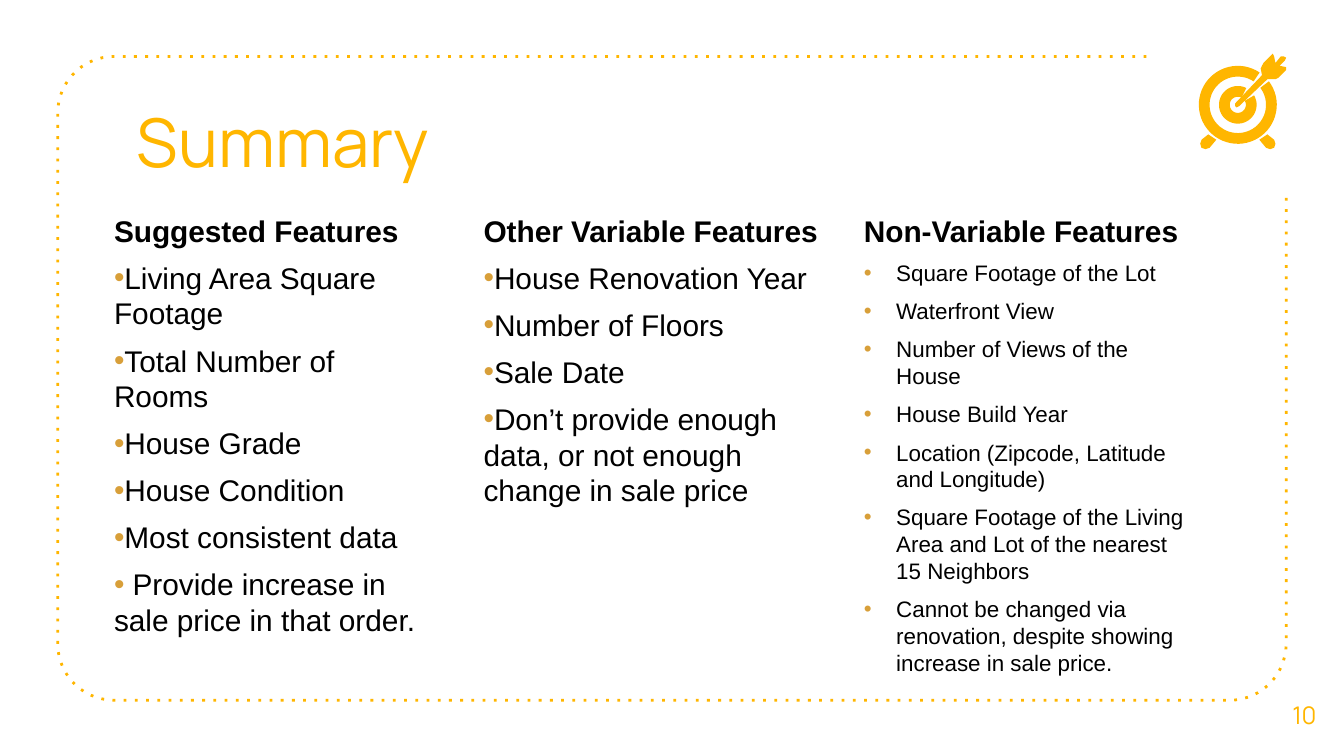
from dataclasses import dataclass
from math import cos, radians, sin

from lxml.etree import SubElement
from pptx import Presentation
from pptx.dml.color import RGBColor
from pptx.enum.dml import MSO_LINE
from pptx.enum.text import MSO_ANCHOR, PP_ALIGN
from pptx.oxml.ns import qn
from pptx.util import Inches, Pt

AMBER = RGBColor(0xFF, 0xB6, 0x00)
BULLET = RGBColor(0xD8, 0x9F, 0x39)
BLACK = RGBColor(0x00, 0x00, 0x00)

Point = tuple[float, float]


@dataclass
class Column:
    left: float
    width: float
    height: float
    heading: str
    items: list[str]
    size: int = 16
    indent: float = 0


@dataclass
class Ring:
    outer: float
    inner: float
    start: float
    end: float


COLUMNS = [
    Column(0.75, 2.55, 3.5, "Suggested Features", [
        "Living Area Square Footage",
        "Total Number of Rooms",
        "House Grade",
        "House Condition",
        "Most consistent data",
        " Provide increase in sale price in that order.",
    ]),
    Column(3.5, 2.75, 3.24, "Other Variable Features", [
        "House Renovation Year",
        "Number of Floors",
        "Sale Date",
        "Don’t provide enough data, or not enough change in sale price",
    ]),
    Column(6.33, 2.63, 3.58, "Non-Variable Features", [
        "Square Footage of the Lot",
        "Waterfront View",
        "Number of Views of the House",
        "House Build Year",
        "Location (Zipcode, Latitude and Longitude)",
        "Square Footage of the Living Area and Lot of the nearest 15 Neighbors",
        "Cannot be changed via renovation, despite showing increase in sale price.",
    ], 12, 0.24),
]

TARGET = (9.21, 0.78)
RINGS = [Ring(0.29, 0.21, -37, 304), Ring(0.14, 0.06, -30, 297)]
FOOT = [(8.99, 1), (8.94, 1.04), (8.93, 1.07), (8.94, 1.1), (8.97, 1.11),
        (9, 1.1), (9.05, 1.04), (9.02, 1.02)]
ARROW = [(9.47, 0.4), (9.46, 0.41), (9.4, 0.47), (9.39, 0.49), (9.38, 0.51),
         (9.39, 0.56), (9.19, 0.77), (9.19, 0.79), (9.2, 0.8), (9.22, 0.79),
         (9.43, 0.59), (9.47, 0.59), (9.49, 0.59), (9.51, 0.58), (9.57, 0.52),
         (9.57, 0.5), (9.52, 0.49), (9.56, 0.45), (9.57, 0.43), (9.55, 0.42),
         (9.53, 0.42), (9.49, 0.47), (9.48, 0.42)]


def arc(center: Point, radius: float, start: float, end: float) -> list[Point]:
    steps = max(12, round(abs(end - start) / 6))
    angles = [radians(start + (end - start) * i / steps) for i in range(steps + 1)]
    return [(center[0] + radius * cos(a), center[1] + radius * sin(a)) for a in angles]


def add_outline(slide, points: list[Point], closed: bool = True):
    scaled = [(Inches(x), Inches(y)) for x, y in points]
    builder = slide.shapes.build_freeform(*scaled[0])
    builder.add_line_segments(scaled[1:], close=closed)
    s = builder.convert_to_shape()
    s.shadow.inherit = False
    return s


def add_solid(slide, points: list[Point]) -> None:
    s = add_outline(slide, points)
    s.fill.solid()
    s.fill.fore_color.rgb = AMBER
    s.line.fill.background()


def add_frame(slide) -> None:
    left, top, right, bottom, radius = 0.43, 0.42, 9.57, 5.21, 0.42
    points = [
        (8.53, top),
        *arc((left + radius, top + radius), radius, 270, 180),
        *arc((left + radius, bottom - radius), radius, 180, 90),
        *arc((right - radius, bottom - radius), radius, 90, 0),
        (right, 1.46),
    ]
    s = add_outline(slide, points, closed=False)
    s.fill.background()
    s.line.color.rgb = AMBER
    s.line.width = Pt(1.5)
    s.line.dash_style = MSO_LINE.ROUND_DOT
    s.line._ln.find(qn("a:prstDash")).set("val", "dot")


def add_target(slide) -> None:
    for ring in RINGS:
        add_solid(slide, arc(TARGET, ring.outer, ring.start, ring.end)
                  + arc(TARGET, ring.inner, ring.end, ring.start))
    add_solid(slide, FOOT)
    add_solid(slide, [(2 * TARGET[0] - x, y) for x, y in FOOT])
    add_solid(slide, ARROW)


def add_text_frame(slide, left: float, top: float, width: float, height: float):
    box = slide.shapes.add_textbox(Inches(left), Inches(top), Inches(width), Inches(height))
    tf = box.text_frame
    tf.word_wrap = True
    tf.margin_left = tf.margin_right = tf.margin_top = tf.margin_bottom = Inches(0.1)
    return tf


def add_run(p, text: str, font: str, size: int, color: RGBColor, bold: bool = False) -> None:
    r = p.add_run()
    r.text = text
    r.font.name = font
    r.font.size = Pt(size)
    r.font.color.rgb = color
    r.font.bold = bold


def set_bullet(p, indent: float) -> None:
    pPr = p._p.get_or_add_pPr()
    pPr.set("marL", str(Inches(indent)))
    pPr.set("indent", str(-Inches(indent)))
    color = SubElement(pPr, qn("a:buClr"))
    SubElement(color, qn("a:srgbClr"), val=str(BULLET))
    SubElement(pPr, qn("a:buFont"), typeface="Arial")
    SubElement(pPr, qn("a:buChar"), char="•")


def add_column(slide, column: Column) -> None:
    tf = add_text_frame(slide, column.left, 1.48, column.width, column.height)
    add_run(tf.paragraphs[0], column.heading, "Arial", 16, BLACK, True)
    for item in column.items:
        p = tf.add_paragraph()
        add_run(p, item, "Arial", column.size, BLACK)
    for i, p in enumerate(tf.paragraphs):
        p.space_before = Pt(6)
        if i:
            set_bullet(p, column.indent)


def main() -> None:
    prs = Presentation()
    prs.slide_width = Inches(10)
    prs.slide_height = prs.slide_width * 9 // 16
    slide = prs.slides.add_slide(prs.slide_layouts[6])

    add_frame(slide)
    title = add_text_frame(slide, 0.92, 0.65, 2.97, 0.94)
    add_run(title.paragraphs[0], "Summary", "Manrope", 36, AMBER)
    number = add_text_frame(slide, 9.41, 5.02, 0.59, 0.6)
    number.vertical_anchor = MSO_ANCHOR.MIDDLE
    number.paragraphs[0].alignment = PP_ALIGN.CENTER
    add_run(number.paragraphs[0], "10", "Manrope", 13, AMBER)
    add_target(slide)
    for column in COLUMNS:
        add_column(slide, column)

    prs.save("out.pptx")


if __name__ == "__main__":
    main()
